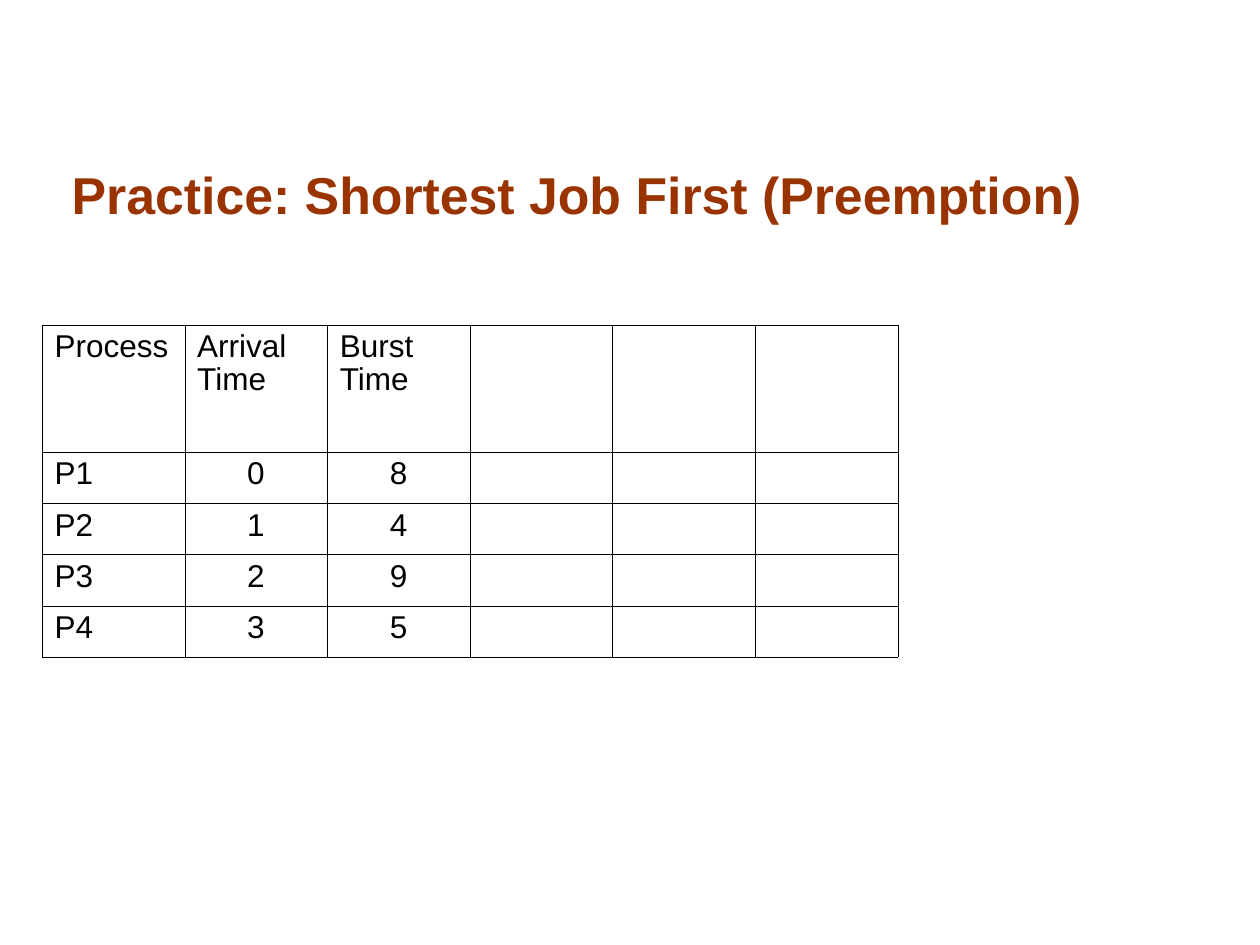
import dataclasses

import pptx
import pptx.dml.color
import pptx.enum.text
import pptx.oxml
import pptx.oxml.ns
import pptx.util

ALIGN = pptx.enum.text.PP_ALIGN
SCALE = 914400 // 126


def px(n):
    return pptx.util.Emu(n * SCALE)


@dataclasses.dataclass(frozen=True)
class Theme:
    font: str = "Arial"
    title_color: str = "993300"
    text_color: str = "000000"
    border_color: str = "000000"
    title_size: float = 29.6
    cell_size: float = 18
    border_width: float = 0.11


def write(tf, text, *, font, size, color, bold=False, align=ALIGN.LEFT, spacing=1.0):
    p = tf.paragraphs[0]
    p.alignment = align
    p.line_spacing = spacing
    r = p.add_run()
    r.text = text
    r.font.name = font
    r.font.size = pptx.util.Pt(size)
    r.font.bold = bold
    r.font.color.rgb = pptx.dml.color.RGBColor.from_string(color)


class Deck:
    def __init__(self, theme, width, height):
        self.theme = theme
        self.prs = pptx.Presentation()
        self.prs.slide_width = px(width)
        self.prs.slide_height = px(height)
        self.s = None

    def slide(self):
        self.s = self.prs.slides.add_slide(self.prs.slide_layouts.get_by_name("Title Only"))

    def title(self, text, x, y, w, h):
        sp = self.s.shapes.title
        sp.left, sp.top, sp.width, sp.height = map(px, (x, y, w, h))
        tf = sp.text_frame
        tf.word_wrap = True
        tf.auto_size = pptx.enum.text.MSO_AUTO_SIZE.NONE
        tf.vertical_anchor = pptx.enum.text.MSO_ANCHOR.BOTTOM
        t = self.theme
        write(tf, text, font=t.font, size=t.title_size, color=t.title_color,
              bold=True, align=ALIGN.CENTER)

    def border(self, cell):
        width = pptx.util.Pt(self.theme.border_width)
        tcPr = cell._tc.get_or_add_tcPr()
        for side in "LRTB":
            tcPr.append(pptx.oxml.parse_xml(
                f'<a:ln{side} {pptx.oxml.ns.nsdecls("a")} w="{width}"><a:solidFill>'
                f'<a:srgbClr val="{self.theme.border_color}"/></a:solidFill></a:ln{side}>'))

    def table(self, rows, columns, x, y, w, h, header_height):
        table = self.s.shapes.add_table(len(rows), columns, *map(px, (x, y, w, h))).table
        table.first_row = table.horz_banding = False
        for i, row in enumerate(table.rows):
            row.height = px(header_height) if i == 0 else px(h - header_height) // (len(rows) - 1)
            for j, cell in enumerate(row.cells):
                self.border(cell)
                cell.fill.background()
                if j < len(rows[i]):
                    t = self.theme
                    write(cell.text_frame, rows[i][j], font=t.font, size=t.cell_size,
                          color=t.text_color, spacing=0.94,
                          align=ALIGN.CENTER if i and j else ALIGN.LEFT)


def main():
    deck = Deck(Theme(), 1260, 945)
    deck.slide()
    deck.title("Practice: Shortest Job First (Preemption)", 42, 105, 1071, 126)
    processes = [
        ("Process", "Arrival Time", "Burst Time"),
        ("P1", "0", "8"),
        ("P2", "1", "4"),
        ("P3", "2", "9"),
        ("P4", "3", "5"),
    ]
    deck.table(processes, 6, 42, 325, 856, 332, header_height=127)
    deck.prs.save("out.pptx")


if __name__ == "__main__":
    main()
